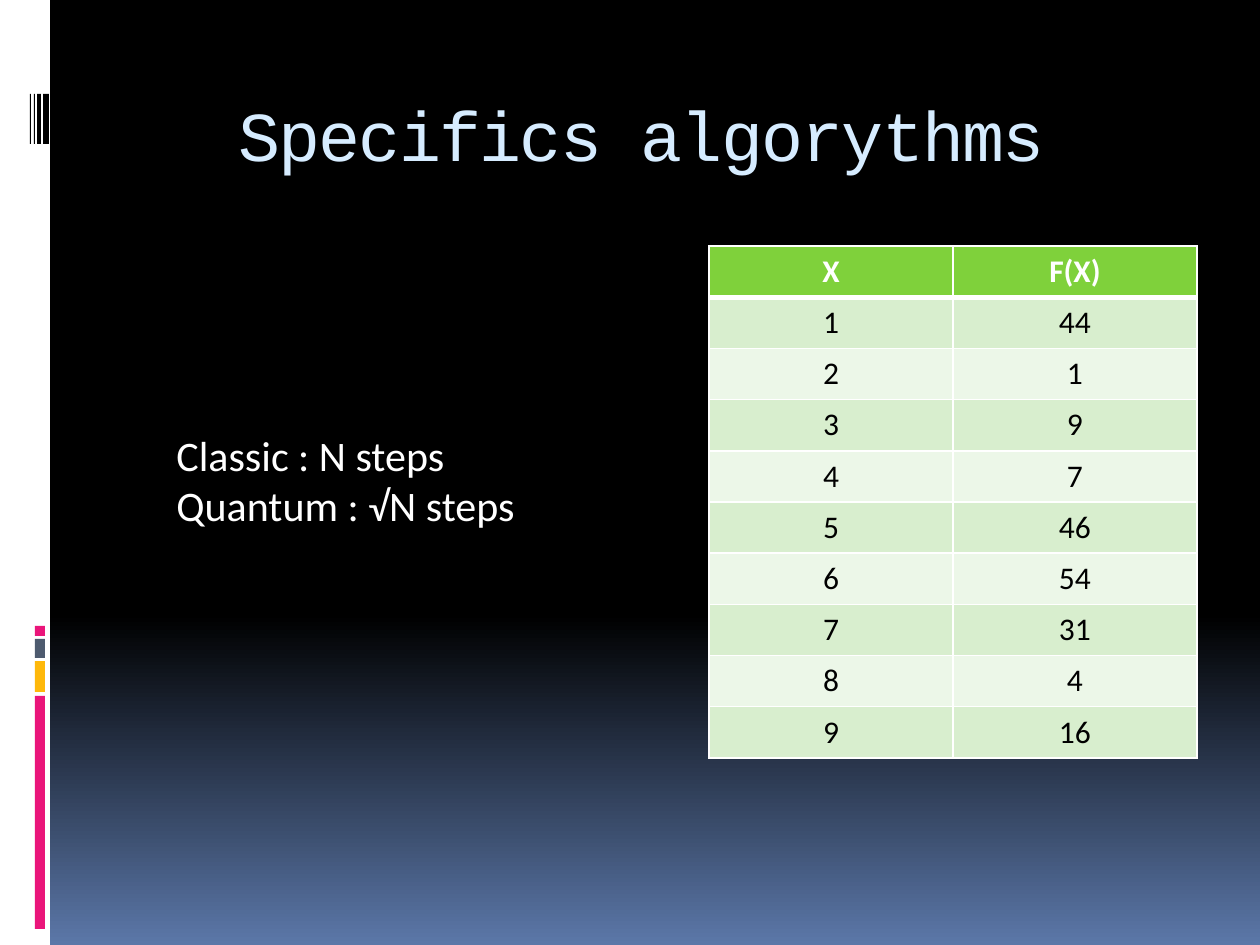
from copy import deepcopy

from lxml.etree import SubElement
from pptx import Presentation
from pptx.dml.color import RGBColor as RGB
from pptx.enum.shapes import MSO_SHAPE as SHAPE
from pptx.enum.text import MSO_ANCHOR as ANCHOR, PP_ALIGN as ALIGN
from pptx.oxml.ns import qn
from pptx.util import Emu, Pt

PX = 914400 / 126
COLORS = {
    "black": "000000", "white": "FFFFFF", "dusk": "5B77A8", "title": "D6ECFF",
    "pink": "EA157A", "amber": "FEB80A", "slate": "4E5B6F",
    "header": "7FD13B", "odd": "D8EECE", "even": "ECF7E8",
}


def px(*lengths):
    return [Emu(round(length * PX)) for length in lengths]


def color(name):
    return RGB.from_string(COLORS[name])


class Deck:
    body_font = "Calibri"
    title_font = "Courier New"

    def __init__(self, width, height):
        self.prs = Presentation()
        self.prs.slide_width, self.prs.slide_height = px(width, height)
        self.slide = self.prs.slides.add_slide(self.prs.slide_layouts[6])

    def background(self, stops):
        fill = self.slide.background.fill
        fill.gradient()
        fill.gradient_angle = 270
        first = next(self.slide.element.iter(qn("a:gs")))
        for _ in stops[2:]:
            first.addnext(deepcopy(first))
        for stop, (position, name) in zip(fill.gradient_stops, stops):
            stop.position = position
            stop.color.rgb = color(name)

    def bar(self, left, top, width, height, name):
        bar = self.slide.shapes.add_shape(SHAPE.RECTANGLE, *px(left, top, width, height))
        bar.shadow.inherit = False
        bar.fill.solid()
        bar.fill.fore_color.rgb = color(name)
        bar.line.fill.background()

    def style(self, paragraph, size, name, font=body_font, align=ALIGN.LEFT, bold=False):
        paragraph.alignment = align
        paragraph.font.size = Pt(size)
        paragraph.font.name = font
        paragraph.font.bold = bold
        paragraph.font.color.rgb = color(name)

    def text(self, box, lines, size, name, anchor=ANCHOR.TOP, spacing=0, **style):
        frame = self.slide.shapes.add_textbox(*px(*box)).text_frame
        frame.word_wrap = True
        frame.vertical_anchor = anchor
        frame.text = "\n".join(lines)
        for paragraph in frame.paragraphs:
            self.style(paragraph, size, name, **style)
            if spacing:
                for run in paragraph.runs:
                    run.font.size = Pt(size)
                    run.font._element.set("spc", str(spacing))

    def border(self, cell, side, points):
        line = SubElement(cell._tc.get_or_add_tcPr(), qn(f"a:ln{side}"), w=str(Pt(points)))
        fill = SubElement(line, qn("a:solidFill"))
        SubElement(fill, qn("a:srgbClr"), val=COLORS["white"])

    def table(self, box, rows):
        table = self.slide.shapes.add_table(len(rows), len(rows[0]), *px(*box)).table
        for r, values in enumerate(rows):
            header = r == 0
            band = "header" if header else "odd" if r % 2 else "even"
            widths = {"L": 1, "R": 1, "T": 3 if r == 1 else 1, "B": 3 if header else 1}
            for c, value in enumerate(values):
                cell = table.cell(r, c)
                cell.text = str(value)
                self.style(cell.text_frame.paragraphs[0], 18, "white" if header else "black",
                           align=ALIGN.CENTER, bold=header)
                for side, points in widths.items():
                    self.border(cell, side, points)
                cell.fill.solid()
                cell.fill.fore_color.rgb = color(band)


def main():
    deck = Deck(1260, 945)
    deck.background([(0, "black"), (0.65, "black"), (1, "dusk")])

    deck.bar(0, 0, 50, 945, "white")
    for top, height, name in [(696, 233, "pink"), (661, 31, "amber"),
                              (639, 19, "slate"), (626, 10, "pink")]:
        deck.bar(35, top, 10, height, name)
    for left, width in [(43, 6), (37, 4), (34, 1), (30, 1)]:
        deck.bar(left, 94, width, 50, "black")

    deck.text((126, 71, 1071, 126), ["Specifics algorythms "], 40, "title",
              anchor=ANCHOR.MIDDLE, spacing=-100, font=deck.title_font, align=ALIGN.CENTER)

    results = [44, 1, 9, 7, 46, 54, 31, 4, 16]
    deck.table((709, 246, 488, 512), [("X", "F(X)"), *enumerate(results, 1)])

    deck.text((164, 423, 525, 115), ["Classic : N steps", "Quantum : √N steps"], 24, "white")

    deck.prs.save("out.pptx")


if __name__ == "__main__":
    main()
